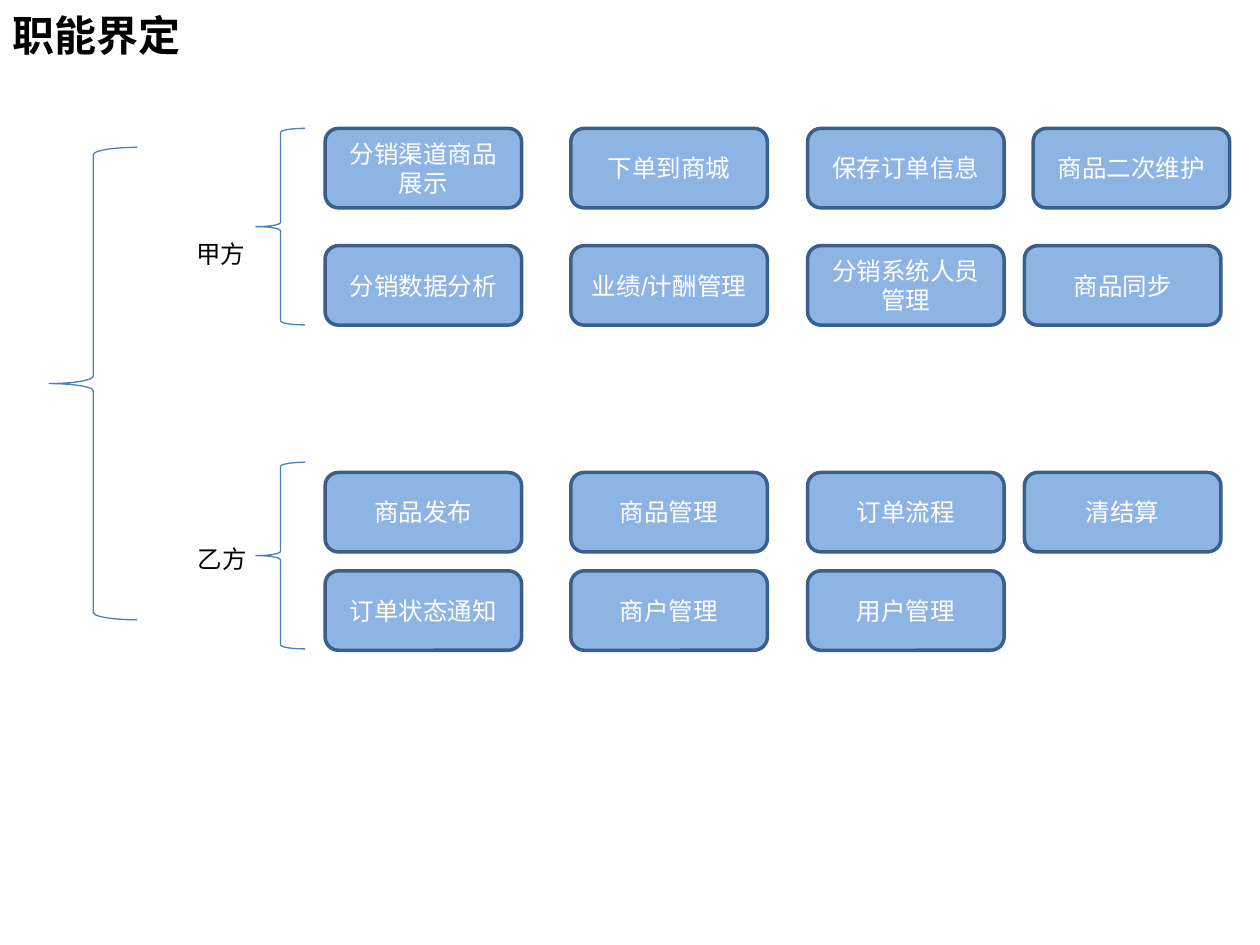
import pptx
import pptx.util
import pptx.dml.color
import pptx.enum.shapes
import pptx.enum.text

Pt = pptx.util.Pt
RGBColor = pptx.dml.color.RGBColor
SHAPE = pptx.enum.shapes.MSO_SHAPE
ALIGN = pptx.enum.text.PP_ALIGN
ANCHOR = pptx.enum.text.MSO_ANCHOR

BLACK = RGBColor(0x00, 0x00, 0x00)
WHITE = RGBColor(0xFF, 0xFF, 0xFF)
FUNCTION_FILL = RGBColor(0x8E, 0xB4, 0xE3)
FUNCTION_BORDER = RGBColor(0x3A, 0x5F, 0x8C)
BRACE_LINE = RGBColor(0x4B, 0x7E, 0xBC)

FUNCTION_WIDTH, FUNCTION_HEIGHT = 112.3, 45.4
COLUMN_OFFSETS = (39.6, 180, 315.3)
BRACE_WIDTH = 28.1
PARTY_WIDTH, PARTY_HEIGHT = 84.2, 24.5


def write(shape, text, size, color, font="Arial", bold=False,
          align=ALIGN.CENTER, anchor=ANCHOR.MIDDLE):
    frame = shape.text_frame
    frame.word_wrap = True
    frame.vertical_anchor = anchor
    paragraph = frame.paragraphs[0]
    paragraph.alignment = align
    run = paragraph.add_run()
    run.text = text
    run.font.name = font
    run.font.size = Pt(size)
    run.font.bold = bold
    run.font.color.rgb = color


def add_title(slide, left, top, width, height):
    title = slide.shapes.add_textbox(Pt(left), Pt(top), Pt(width), Pt(height))
    write(title, "职能界定", 24, BLACK, bold=True, align=ALIGN.LEFT)


def add_brace(slide, left, top, width, height):
    brace = slide.shapes.add_shape(
        SHAPE.LEFT_BRACE, Pt(left), Pt(top), Pt(width), Pt(height))
    brace.shadow.inherit = False
    brace.fill.background()
    brace.line.color.rgb = BRACE_LINE
    brace.line.width = Pt(0.75)


def add_function(slide, left, top, text):
    function = slide.shapes.add_shape(
        SHAPE.ROUNDED_RECTANGLE, Pt(left), Pt(top),
        Pt(FUNCTION_WIDTH), Pt(FUNCTION_HEIGHT))
    function.shadow.inherit = False
    function.fill.solid()
    function.fill.fore_color.rgb = FUNCTION_FILL
    function.line.color.rgb = FUNCTION_BORDER
    function.line.width = Pt(2)
    write(function, text, 14, WHITE)


def add_party(slide, left, top, height, name, name_left, name_top, rows):
    party = slide.shapes.add_textbox(
        Pt(left + name_left), Pt(top + name_top),
        Pt(PARTY_WIDTH), Pt(PARTY_HEIGHT))
    write(party, name, 14, BLACK, font="Noto Sans CJK SC", anchor=ANCHOR.TOP)
    add_brace(slide, left, top, BRACE_WIDTH, height)
    for row_top, last_column, functions in rows:
        for offset, text in zip((*COLUMN_OFFSETS, last_column), functions):
            add_function(slide, left + offset, top + row_top, text)


def main():
    presentation = pptx.Presentation()
    presentation.slide_width = Pt(720)
    presentation.slide_height = Pt(540)
    slide = presentation.slides.add_slide(presentation.slide_layouts[6])

    add_title(slide, 0, 0, 562.3, 39.6)
    add_brace(slide, 28.1, 84.2, 50.4, 270)
    add_party(slide, 146.2, 73.4, 112.3, "甲方", -62, 59.8, [
        (0, 444.2, ("分销渠道商品展示", "下单到商城", "保存订单信息", "商品二次维护")),
        (67, 439.2, ("分销数据分析", "业绩/计酬管理", "分销系统人员管理", "商品同步")),
    ])
    add_party(slide, 146.2, 264.2, 106.6, "乙方", -61.2, 43.2, [
        (5.8, 439.2, ("商品发布", "商品管理", "订单流程", "清结算")),
        (62, 439.2, ("订单状态通知", "商户管理", "用户管理")),
    ])
    presentation.save("out.pptx")


if __name__ == "__main__":
    main()
